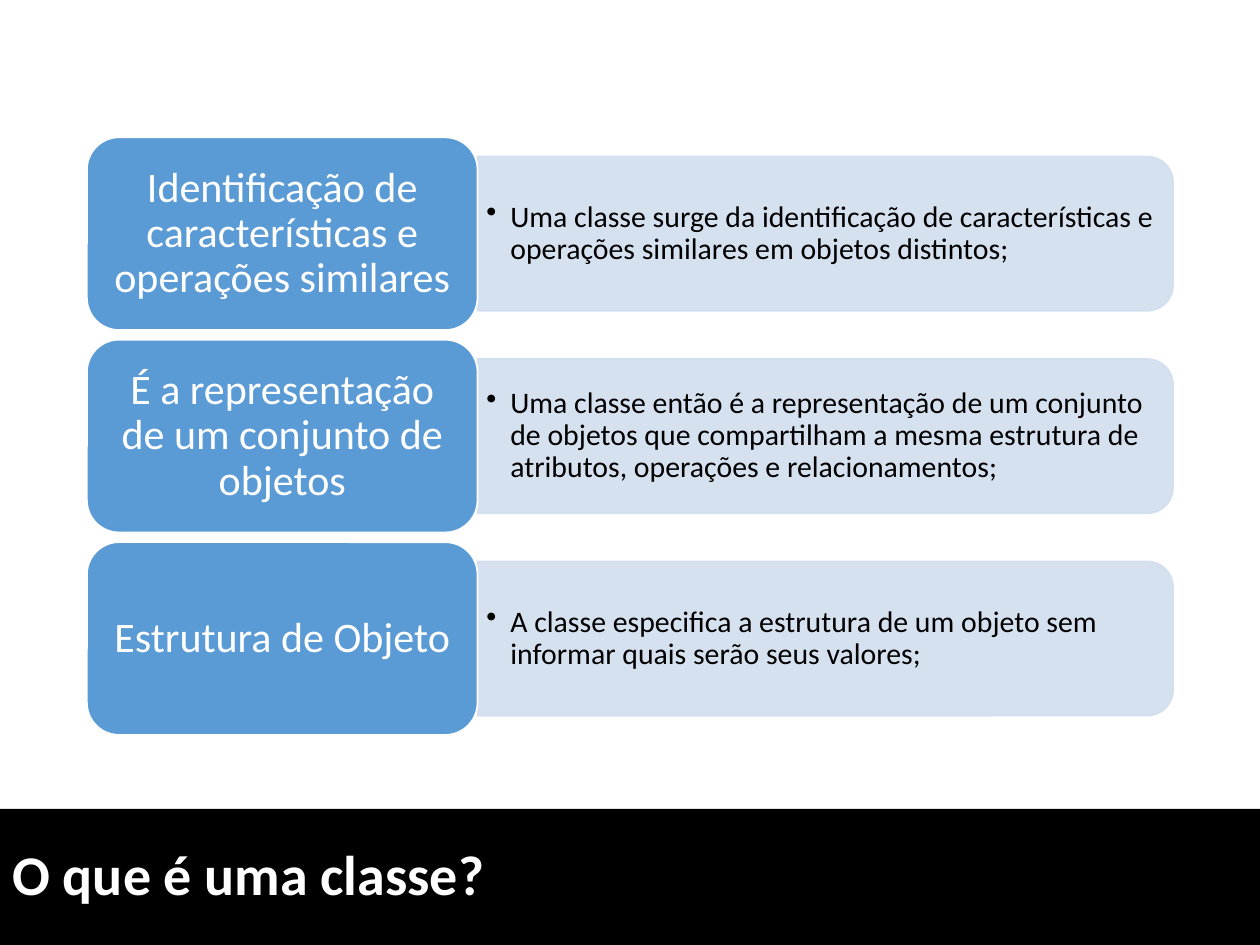
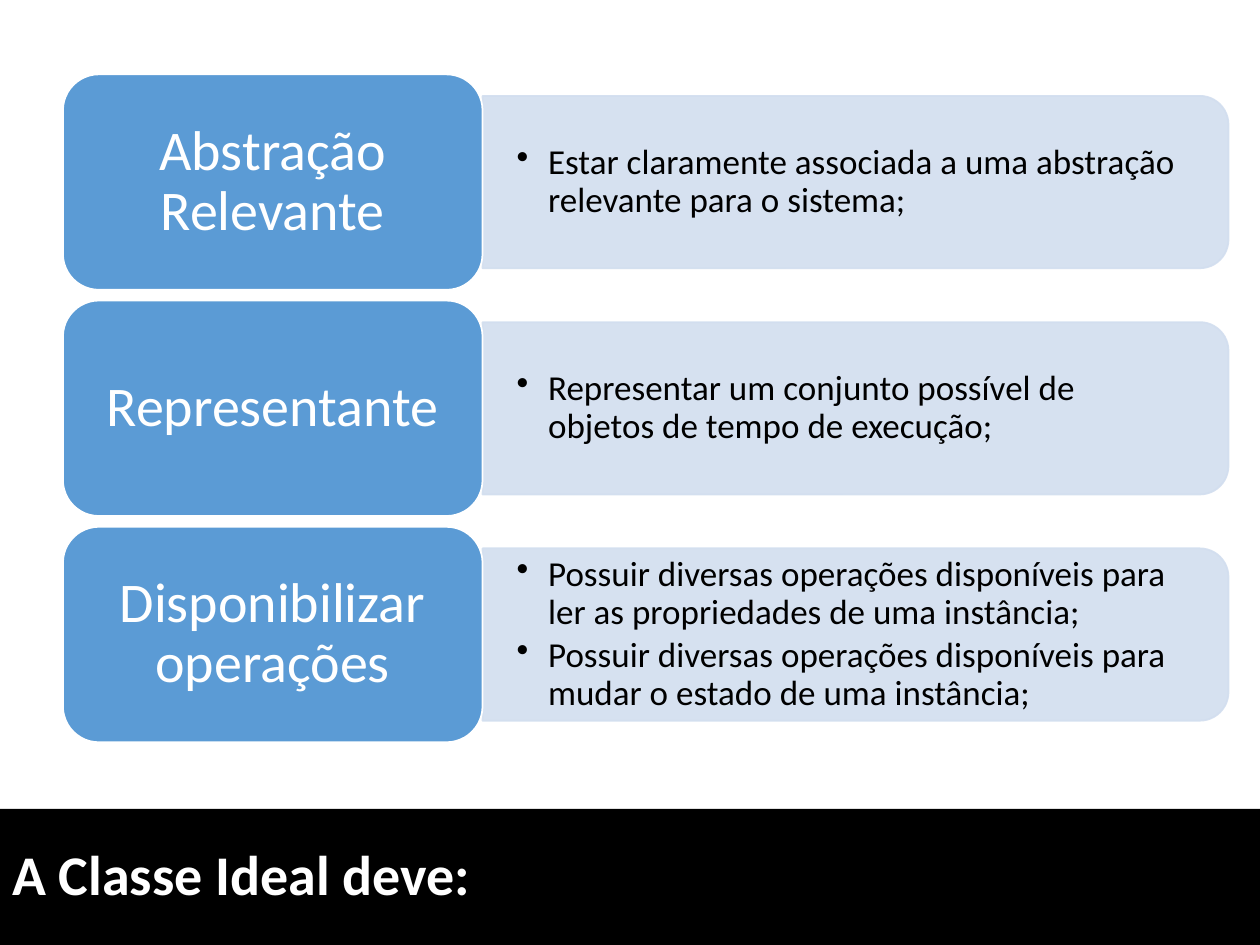
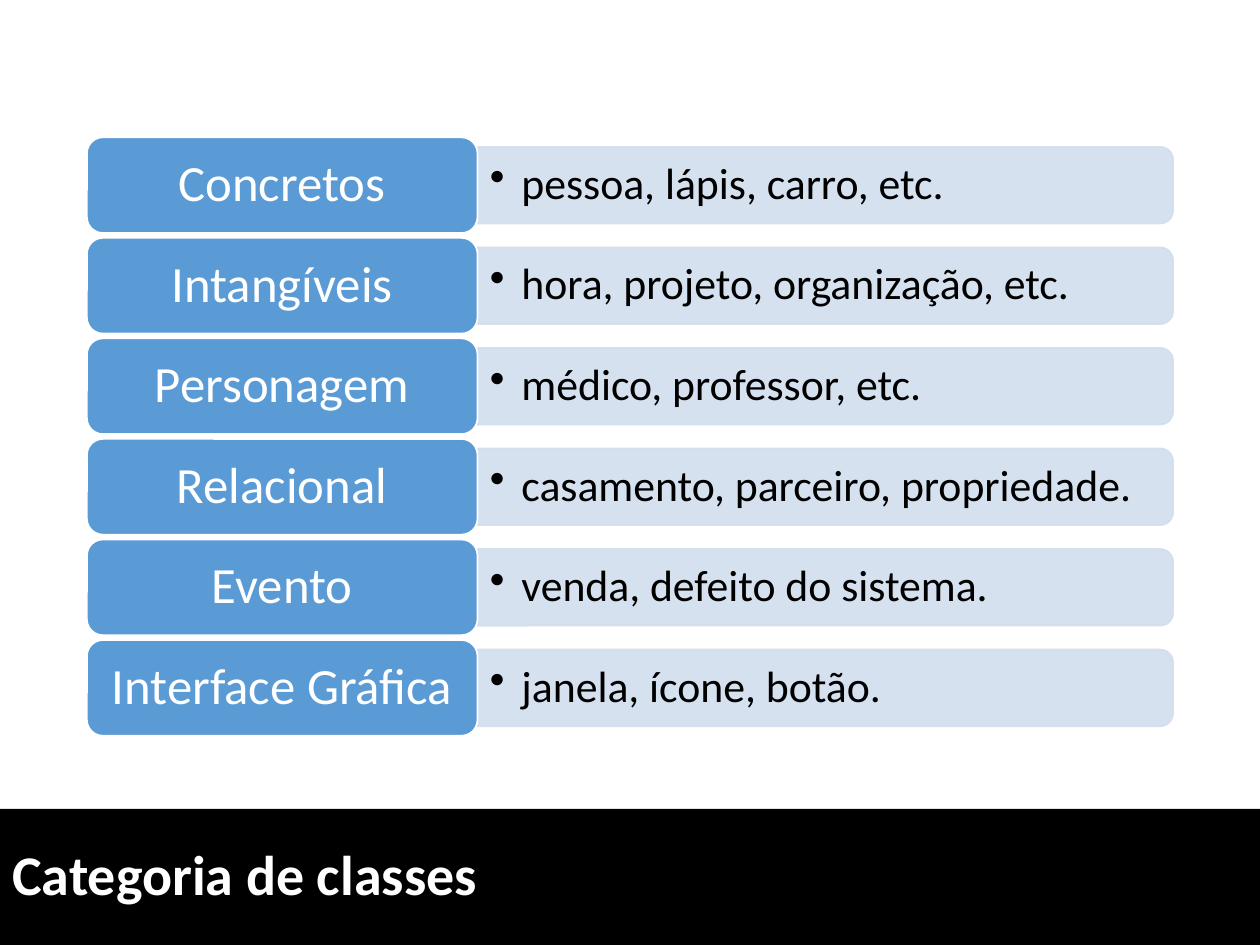
"""Build three class-concept slides: rows of labels with details above a black title band."""
from dataclasses import dataclass

from lxml import etree
from pptx import Presentation
from pptx.dml.color import RGBColor
from pptx.enum.shapes import MSO_SHAPE
from pptx.enum.text import MSO_ANCHOR, PP_ALIGN
from pptx.oxml.ns import qn
from pptx.util import Inches, Pt

RECTANGLE = MSO_SHAPE.RECTANGLE
ROUNDED = MSO_SHAPE.ROUNDED_RECTANGLE
ROUNDED_TOP = MSO_SHAPE.ROUND_2_SAME_RECTANGLE
MIDDLE = MSO_ANCHOR.MIDDLE
LEFT, CENTER = PP_ALIGN.LEFT, PP_ALIGN.CENTER


@dataclass(frozen=True)
class Theme:
    font: str = "Calibri"
    white: RGBColor = RGBColor(0xFF, 0xFF, 0xFF)
    black: RGBColor = RGBColor(0, 0, 0)
    blue: RGBColor = RGBColor(0x5B, 0x9B, 0xD5)
    pale: RGBColor = RGBColor(0xD2, 0xDE, 0xEF)
    pale_alpha: str = "90000"
    title_size: int = 32
    line_spacing: float = 0.9
    detail_gap: float = 0.15


THEME = Theme()
BAND_RATIO = 0.8
PITCH_RATIO = 1.05
CORNER_RATIO = 0.0488


def add_block(page, preset, left, top, width, height, fill, line=None):
    block = page.shapes.add_shape(
        preset, Inches(left), Inches(top), Inches(width), Inches(height))
    block.shadow.inherit = False
    block.fill.solid()
    block.fill.fore_color.rgb = fill
    if line is None:
        block.line.fill.background()
    else:
        block.line.color.rgb = line
        block.line.width = Pt(1)
    return block


def write(shape, lines, size, color, inset=(0.1, 0.05), align=LEFT, bold=False, indent=0):
    frame = shape.text_frame
    frame.word_wrap = True
    frame.vertical_anchor = MIDDLE
    frame.margin_left = frame.margin_right = Inches(inset[0])
    frame.margin_top = frame.margin_bottom = Inches(inset[1])
    for number, line in enumerate(lines):
        para = frame.add_paragraph() if number else frame.paragraphs[0]
        para.alignment = align
        para.line_spacing = THEME.line_spacing
        if indent:
            para.level = 1
            para.space_after = Pt(size * THEME.detail_gap)
            properties = para._p.get_or_add_pPr()
            properties.set("marL", str(Inches(indent)))
            properties.set("indent", str(-Inches(indent)))
            etree.SubElement(properties, qn("a:buChar")).set("char", "•")
        span = para.add_run()
        span.text = line
        span.font.name = THEME.font
        span.font.size = Pt(size)
        span.font.bold = bold
        span.font.color.rgb = color


SLIDES = [
    dict(
        title="O que é uma classe?",
        left=0.69, top=1.09, label_width=3.1, label_height=1.53, band_width=5.52,
        label_size=24, label_inset=(0.1, 0.05),
        detail_size=17, detail_inset=(0.07, 0.04), indent=0.19,
        rows=[
            ("Identificação de características e operações similares",
             ["Uma classe surge da identificação de características e operações "
              "similares em objetos distintos;"]),
            ("É a representação de um conjunto de objetos",
             ["Uma classe então é a representação de um conjunto de objetos que "
              "compartilham a mesma estrutura de atributos, operações e relacionamentos;"]),
            ("Estrutura de Objeto",
             ["A classe especifica a estrutura de um objeto sem informar quais "
              "serão seus valores;"]),
        ]),
    dict(
        title="A Classe Ideal deve:",
        left=0.5, top=0.59, label_width=3.33, label_height=1.71, band_width=5.92,
        label_size=32, label_inset=(0.13, 0.07),
        detail_size=20, detail_inset=(0.27, 0.14), indent=0.25,
        rows=[
            ("Abstração Relevante",
             ["Estar claramente associada a uma abstração relevante para o sistema;"]),
            ("Representante",
             ["Representar um conjunto possível de objetos de tempo de execução;"]),
            ("Disponibilizar operações",
             ["Possuir diversas operações disponíveis para ler as propriedades "
              "de uma instância;",
              "Possuir diversas operações disponíveis para mudar o estado "
              "de uma instância;"]),
        ]),
    dict(
        title="Categoria de classes",
        left=0.69, top=1.09, label_width=3.1, label_height=0.76, band_width=5.52,
        label_size=29, label_inset=(0.12, 0.06),
        detail_size=25, detail_inset=(0.1, 0.05), indent=0.25,
        rows=[
            ("Concretos", ["pessoa, lápis, carro, etc."]),
            ("Intangíveis", ["hora, projeto, organização, etc."]),
            ("Personagem", ["médico, professor, etc."]),
            ("Relacional", ["casamento, parceiro, propriedade."]),
            ("Evento", ["venda, defeito do sistema."]),
            ("Interface Gráfica", ["janela, ícone, botão."]),
        ]),
]

deck = Presentation()
deck.slide_width, deck.slide_height = Inches(10), Inches(7.5)
blank = deck.slide_layouts[6]

for content in SLIDES:
    page = deck.slides.add_slide(blank)
    left, label_width = content["left"], content["label_width"]
    label_height, band_width = content["label_height"], content["band_width"]
    band_left = left + label_width
    band_height = label_height * BAND_RATIO
    label_pad = label_height * CORNER_RATIO
    band_pad = band_height * CORNER_RATIO

    for number, (label, details) in enumerate(content["rows"]):
        top = content["top"] + number * label_height * PITCH_RATIO
        middle = top + label_height / 2

        band = add_block(
            page, ROUNDED_TOP, band_left + (band_width - band_height) / 2,
            middle - band_width / 2, band_height, band_width, THEME.pale, THEME.pale)
        band.rotation = 90
        for color in band._element.spPr.iter(qn("a:srgbClr")):
            etree.SubElement(color, qn("a:alpha")).set("val", THEME.pale_alpha)

        detail_box = page.shapes.add_textbox(
            Inches(band_left), Inches(middle - band_height / 2 + band_pad),
            Inches(band_width - band_pad), Inches(band_height - 2 * band_pad))
        write(detail_box, details, content["detail_size"], THEME.black,
              content["detail_inset"], indent=content["indent"])

        add_block(page, ROUNDED, left, top, label_width, label_height,
                  THEME.blue, THEME.white)
        label_box = page.shapes.add_textbox(
            Inches(left + label_pad), Inches(top + label_pad),
            Inches(label_width - 2 * label_pad), Inches(label_height - 2 * label_pad))
        write(label_box, [label], content["label_size"], THEME.white,
              content["label_inset"], CENTER)

    title_band = add_block(page, RECTANGLE, 0, 6.42, 10, 1.08, THEME.black)
    write(title_band, [content["title"]], THEME.title_size, THEME.white, bold=True)

deck.save("out.pptx")
